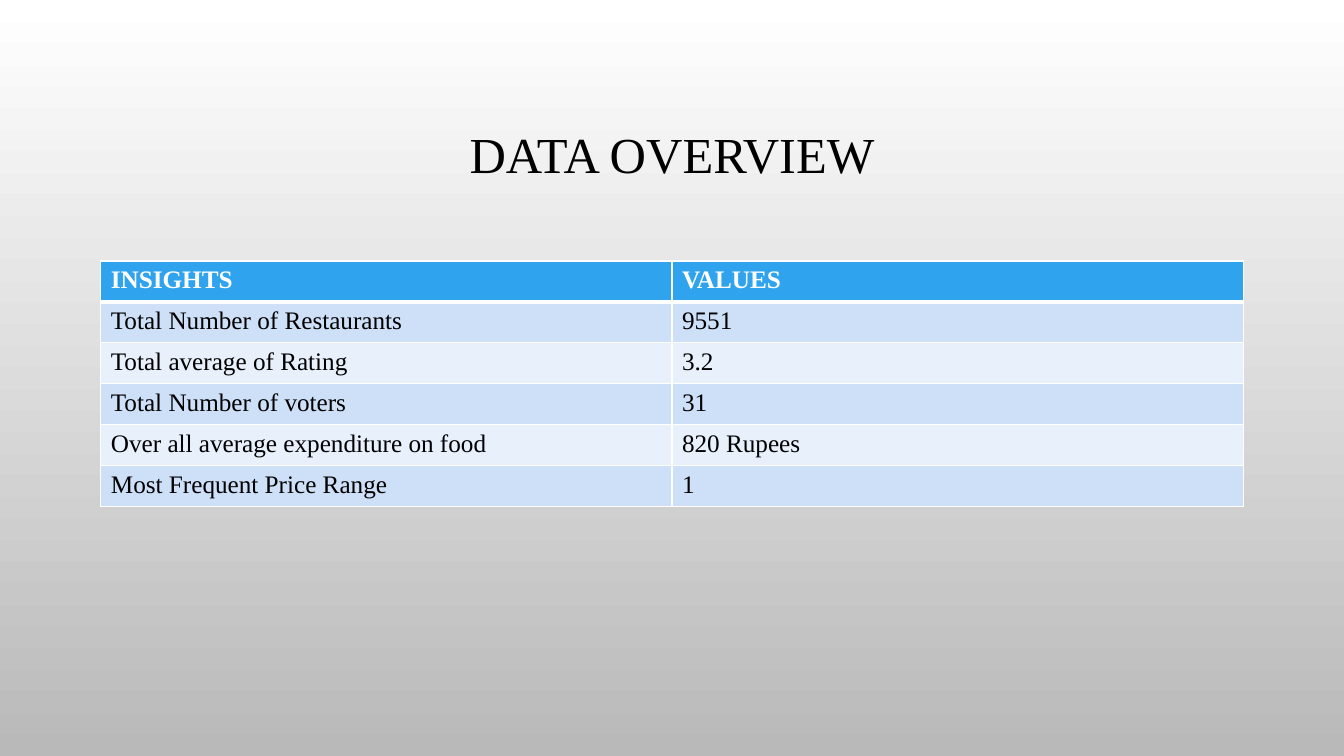
from lxml import etree
from pptx import Presentation
from pptx.dml.color import RGBColor
from pptx.enum.text import MSO_ANCHOR as Anchor, PP_ALIGN as Align
from pptx.oxml.ns import qn
from pptx.util import Pt

TITLE = "DATA OVERVIEW"
ROWS = [
    ("INSIGHTS", "VALUES"),
    ("Total Number of Restaurants", "9551"),
    ("Total average of Rating", "3.2"),
    ("Total Number of voters", "31"),
    ("Over all average expenditure on food", "820 Rupees"),
    ("Most Frequent Price Range", "1"),
]
FONT = "Times New Roman"
BLACK, WHITE, GREY = "000000", "FFFFFF", "B9B9B9"
HEAD, BANDS = "2FA3EE", ("E8F0FC", "CDE0F8")
LEFT, WIDTH = 72, 816
TOP, ROW_H = 186.5, 29.2


def paint(color, value):
    color.rgb = RGBColor.from_string(value)


def write(frame, text, size=18, color=BLACK, bold=False, align=Align.LEFT, space=1.0):
    para = frame.paragraphs[0]
    para.alignment, para.line_spacing = align, space
    run = para.add_run()
    run.text = text
    run.font.name, run.font.size, run.font.bold = FONT, Pt(size), bold
    paint(run.font.color, color)


def edge(cell, widths):
    """Draw white cell borders, in the order left, right, top, bottom."""
    props = cell._tc.get_or_add_tcPr()
    for i, (side, width) in enumerate(zip("LRTB", widths)):
        line = etree.Element(qn(f"a:ln{side}"), w=str(Pt(width)))
        fill = etree.SubElement(line, qn("a:solidFill"))
        etree.SubElement(fill, qn("a:srgbClr"), val=WHITE)
        props.insert(i, line)


def add_title(slide):
    frame = slide.shapes.add_textbox(Pt(LEFT), Pt(49), Pt(WIDTH), Pt(126)).text_frame
    frame.word_wrap = True
    frame.vertical_anchor = Anchor.MIDDLE
    write(frame, TITLE, size=36, align=Align.CENTER, space=0.9)


def add_grid(slide):
    table = slide.shapes.add_table(
        len(ROWS), len(ROWS[0]), Pt(LEFT), Pt(TOP), Pt(WIDTH), Pt(ROW_H * len(ROWS))
    ).table
    for r, row in enumerate(ROWS):
        top = r == 0
        for c, text in enumerate(row):
            cell = table.cell(r, c)
            cell.fill.solid()
            paint(cell.fill.fore_color, HEAD if top else BANDS[r % 2])
            write(cell.text_frame, text, color=WHITE if top else BLACK, bold=top)
            edge(cell, (1, 1, 3 if r == 1 else 1, 3 if top else 1))


def main():
    deck = Presentation()
    deck.slide_width, deck.slide_height = Pt(960), Pt(540)
    slide = deck.slides.add_slide(deck.slide_layouts[6])
    back = slide.background.fill
    back.gradient()
    back.gradient_angle = 270
    for stop, place, color in zip(back.gradient_stops, (0, 1), (WHITE, GREY)):
        stop.position = place
        paint(stop.color, color)
    add_title(slide)
    add_grid(slide)
    deck.save("out.pptx")


if __name__ == "__main__":
    main()
